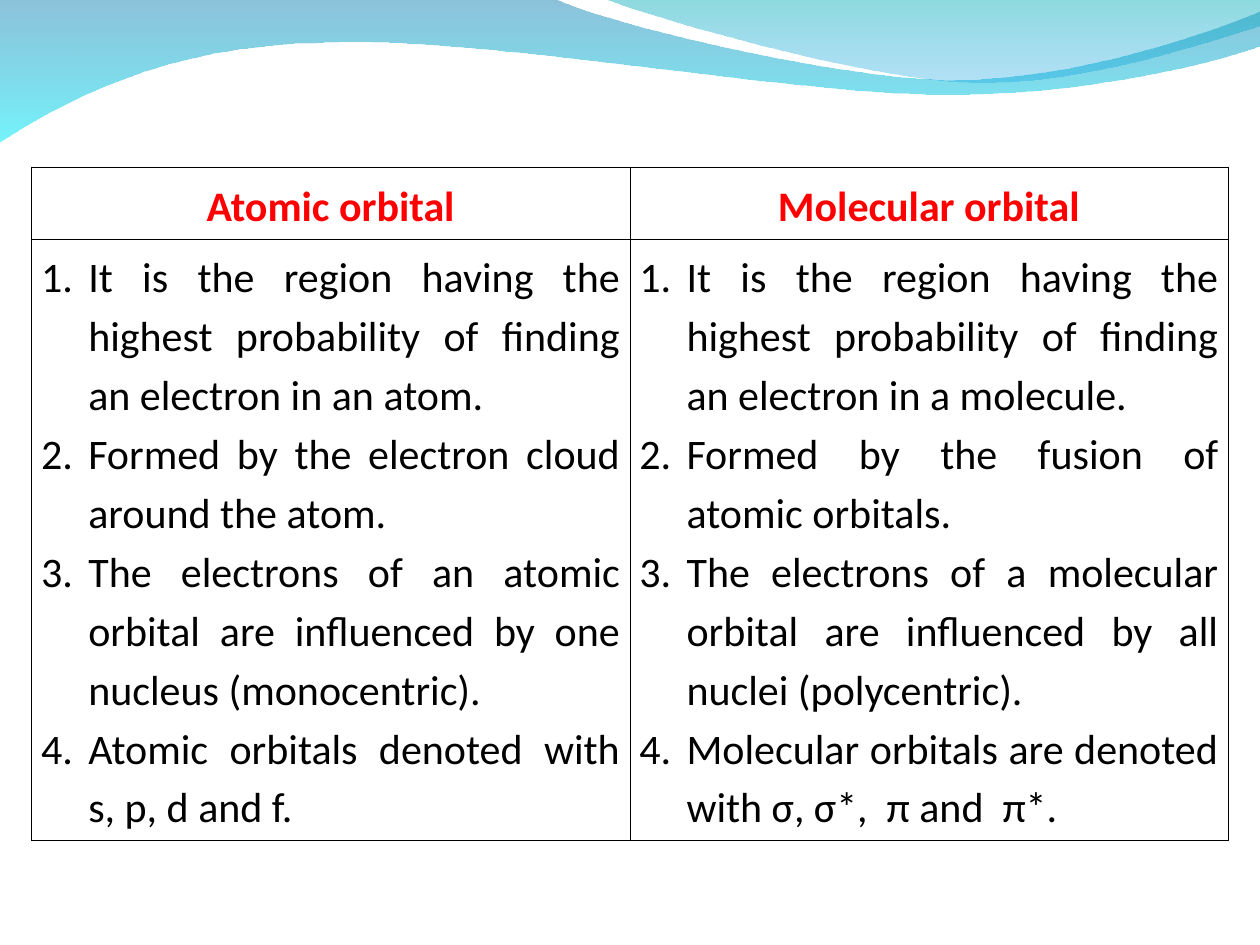
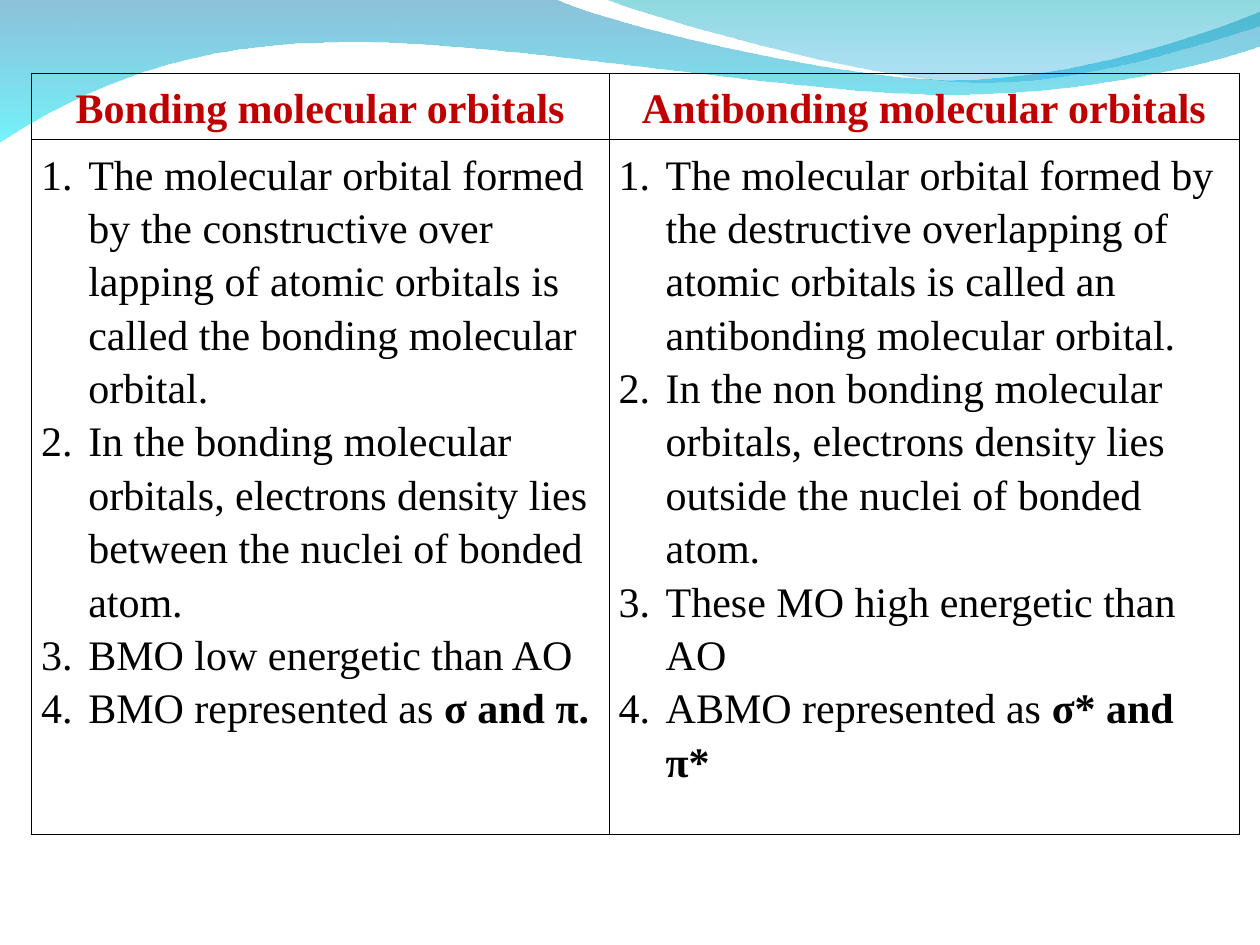
from itertools import chain, islice

from lxml import etree
from pptx import Presentation
from pptx.dml.color import RGBColor
from pptx.enum.text import PP_ALIGN
from pptx.oxml.ns import qn
from pptx.util import Cm, Pt

LEFT, CENTER, JUSTIFY = PP_ALIGN.LEFT, PP_ALIGN.CENTER, PP_ALIGN.JUSTIFY

BLACK = RGBColor(0x00, 0x00, 0x00)
RED = RGBColor(0xFF, 0x00, 0x00)
DARK_RED = RGBColor(0xC0, 0x00, 0x00)
DEEP_BLUE = RGBColor(0x00, 0x79, 0xAF)
CYAN = RGBColor(0x00, 0xEB, 0xF8)
TEAL = RGBColor(0x00, 0xAD, 0xB6)
SKY_BLUE = RGBColor(0x00, 0x9B, 0xE5)

TABLE_LEFT = Cm(0.64)
HEADING_HEIGHT = Cm(1.17)
NUMBER_INDENT = Cm(0.95)
WAVE_UNIT = Cm(0.01)

LONG_WAVE = [
    [(0, -3)],
    [(1118, -3)],
    [(1209, 43), (1687, 160), (1925, 160)],
    [(2167, 160), (2433, 66), (2540, 23)],
    [(2543, 91)],
    [(2497, 112), (2210, 193), (1895, 190)],
    [(1580, 190), (970, 71), (653, 86)],
    [(328, 89), (117, 211), (-3, 287)],
]
SHORT_WAVE = [
    [(1217, -3)],
    [(1293, 28), (1732, 157), (1953, 165)],
    [(2174, 175), (2441, 81), (2540, 53)],
    [(2540, 0)],
]

ORBITAL_TYPES = {
    "Atomic orbital": [
        "It is the region having the highest probability of finding an electron in an atom.",
        "Formed by the electron cloud around the atom.",
        "The electrons of an atomic orbital are influenced by one nucleus (monocentric).",
        "Atomic orbitals denoted with s, p, d and f.",
    ],
    "Molecular orbital": [
        "It is the region having the highest probability of finding an electron in a molecule.",
        "Formed by the fusion of atomic orbitals.",
        "The electrons of a molecular orbital are influenced by all nuclei (polycentric).",
        "Molecular orbitals are denoted with σ, σ*,  π and  π*.",
    ],
}
BONDING_TYPES = {
    "Bonding molecular orbitals": [
        "The molecular orbital formed by the constructive over lapping of atomic orbitals "
        "is called the bonding molecular orbital.",
        "In the bonding molecular orbitals, electrons density lies between the nuclei of bonded atom.",
        "BMO low energetic than AO",
        ("BMO represented as ", "σ and π."),
    ],
    "Antibonding molecular orbitals": [
        "The molecular orbital formed by the destructive overlapping of atomic orbitals "
        "is called an antibonding molecular orbital.",
        "In the non bonding molecular orbitals, electrons density lies outside the nuclei of bonded atom.",
        "These MO high energetic than AO",
        ("ABMO represented as ", "σ* and  π*"),
    ],
}


def bend(wave, segments):
    lines = iter(list(wave.element.spPr.iter(qn("a:lnTo"))))
    for segment in segments:
        first, *others = islice(lines, len(segment))
        if others:
            first.tag = qn("a:cubicBezTo")
        for line in others:
            first.append(line[0])
            line.getparent().remove(line)


def add_wave(slide, segments, colors, opacities):
    start, *points = chain.from_iterable(segments)
    builder = slide.shapes.build_freeform(*start, scale=WAVE_UNIT)
    builder.add_line_segments(points, close=True)
    wave = builder.convert_to_shape()
    bend(wave, segments[1:])
    wave.shadow.inherit = False
    wave.line.fill.background()
    wave.fill.gradient()
    wave.fill.gradient_angle = 270
    for stop, position, color in zip(wave.fill.gradient_stops, (0, 1), colors):
        stop.position = position
        stop.color.rgb = color
    for color, opacity in zip(wave.element.spPr.iter(qn("a:srgbClr")), opacities):
        etree.SubElement(color, qn("a:alpha"), val=str(opacity * 1000))


def add_waves(slide):
    add_wave(slide, LONG_WAVE, (DEEP_BLUE, CYAN), (45, 55))
    add_wave(slide, SHORT_WAVE, (TEAL, SKY_BLUE), (45, 30))


def write(paragraph, text, font, color=BLACK, bold=False, align=LEFT):
    paragraph.alignment = align
    paragraph.line_spacing = 1.15
    run = paragraph.add_run()
    run.text = text
    run.font.name = font
    run.font.size = Pt(24)
    run.font.bold = bold
    run.font.color.rgb = color


def number(paragraph):
    properties = paragraph._p.get_or_add_pPr()
    properties.set("marL", str(NUMBER_INDENT))
    properties.set("indent", str(-NUMBER_INDENT))
    marker_color = etree.SubElement(properties, qn("a:buClr"))
    etree.SubElement(marker_color, qn("a:srgbClr"), val=str(BLACK))
    etree.SubElement(properties, qn("a:buAutoNum"), type="arabicPeriod")


def style_cell(cell):
    cell.margin_left = Cm(0.19)
    cell.margin_right = Cm(0.2)
    cell.margin_top = cell.margin_bottom = Cm(0.13)
    properties = cell._tc.get_or_add_tcPr()
    for side in ("lnL", "lnR", "lnT", "lnB"):
        border = etree.SubElement(properties, qn(f"a:{side}"), w=str(Pt(0.45)))
        border_fill = etree.SubElement(border, qn("a:solidFill"))
        etree.SubElement(border_fill, qn("a:srgbClr"), val=str(BLACK))
    cell.fill.background()


def write_points(cell, points, font, align):
    frame = cell.text_frame
    for index, point in enumerate(points):
        paragraph = frame.add_paragraph() if index else frame.paragraphs[0]
        number(paragraph)
        plain, *symbols = (point,) if isinstance(point, str) else point
        write(paragraph, plain, font, align=align)
        for symbol in symbols:
            write(paragraph, symbol, font, bold=True, align=align)


def add_comparison(slide, orbitals, top, widths, points_height, font, heading_color, align):
    table = slide.shapes.add_table(
        2, len(orbitals), TABLE_LEFT, top, sum(widths), HEADING_HEIGHT + points_height
    ).table
    table.first_row = table.horz_banding = False
    table.rows[0].height = HEADING_HEIGHT
    table.rows[1].height = points_height
    for column, (heading, points) in enumerate(orbitals.items()):
        table.columns[column].width = widths[column]
        heading_cell, points_cell = table.cell(0, column), table.cell(1, column)
        style_cell(heading_cell)
        style_cell(points_cell)
        write(heading_cell.text_frame.paragraphs[0], heading, font,
              color=heading_color, bold=True, align=CENTER)
        write_points(points_cell, points, font, align)


def main():
    deck = Presentation()
    deck.slide_width, deck.slide_height = Cm(25.4), Cm(19.05)
    blank = deck.slide_layouts[6]

    orbital_slide = deck.slides.add_slide(blank)
    add_waves(orbital_slide)
    add_comparison(orbital_slide, ORBITAL_TYPES, top=Cm(3.37), widths=[Cm(12.06)] * 2,
                   points_height=Cm(11.68), font="Calibri", heading_color=RED, align=JUSTIFY)

    bonding_slide = deck.slides.add_slide(blank)
    add_waves(bonding_slide)
    add_comparison(bonding_slide, BONDING_TYPES, top=Cm(1.47), widths=[Cm(11.64), Cm(12.7)],
                   points_height=Cm(14.02), font="Times New Roman", heading_color=DARK_RED,
                   align=LEFT)

    deck.save("out.pptx")


if __name__ == "__main__":
    main()
